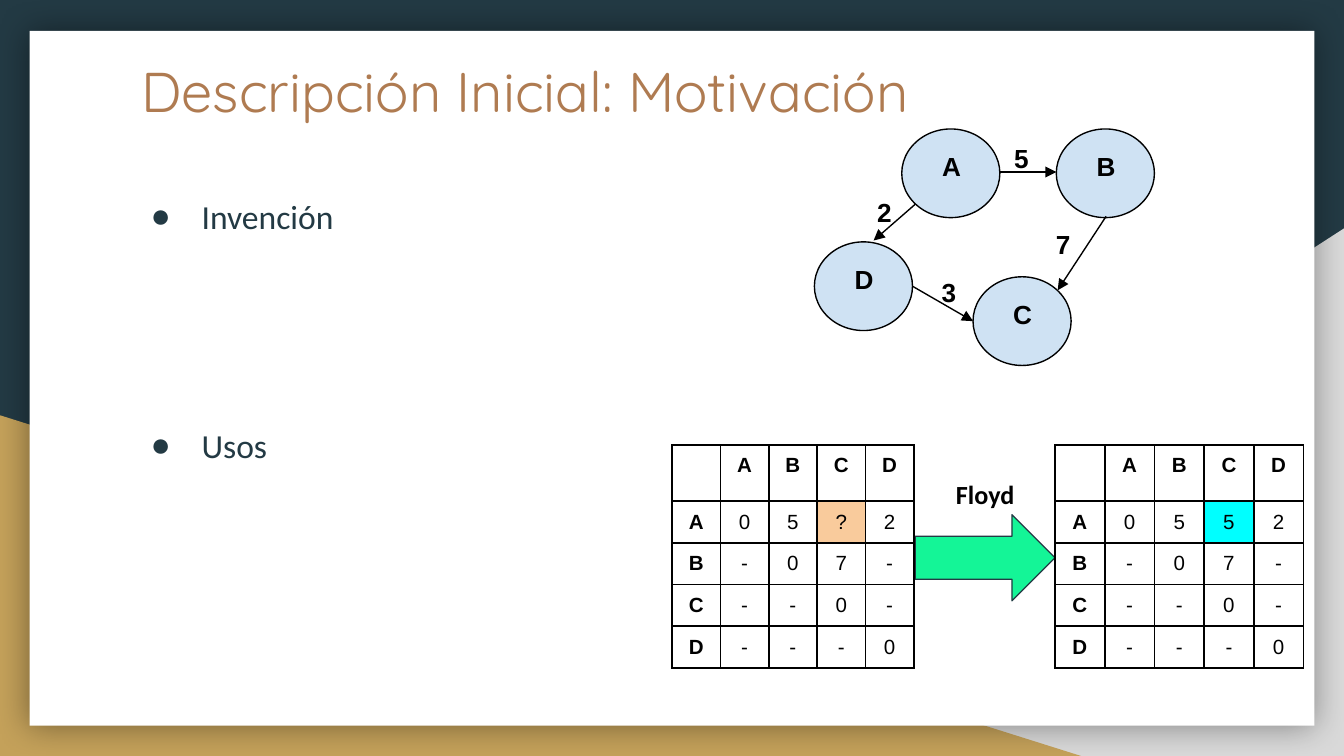
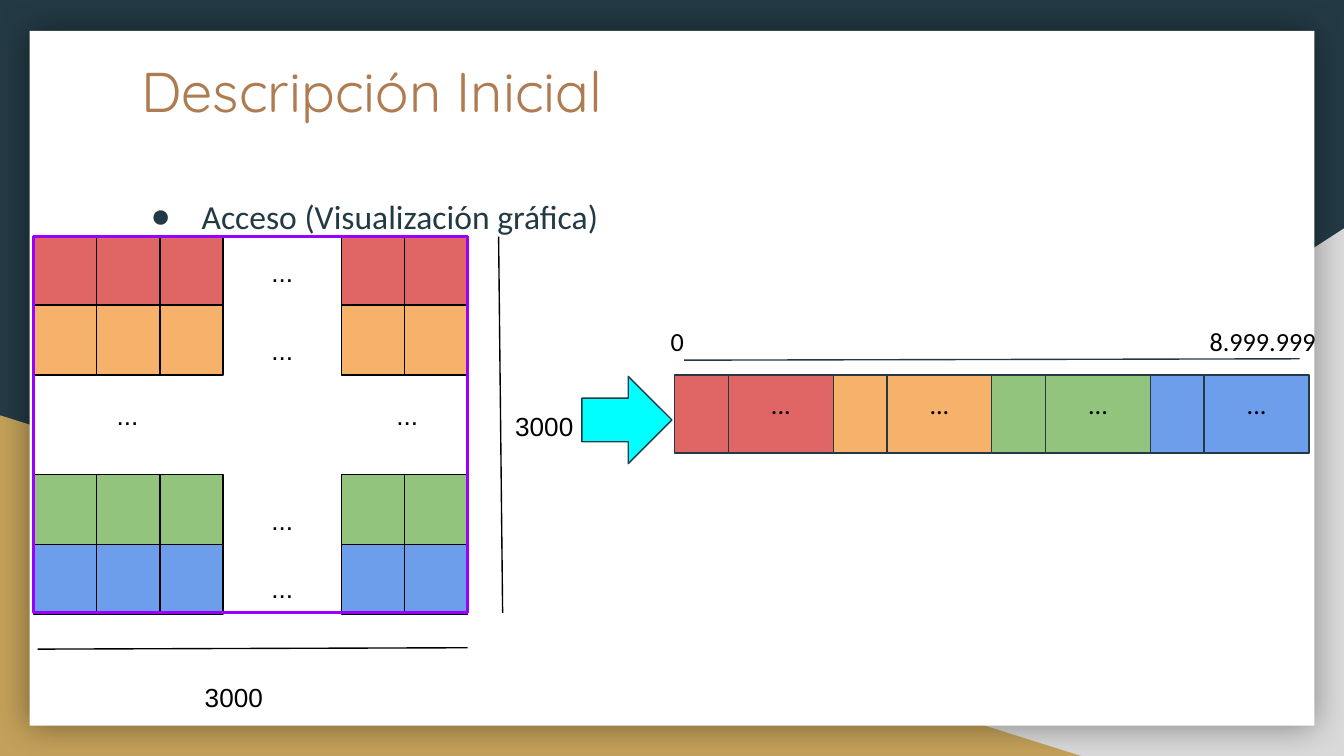
import pptx
import pptx.dml.color
import pptx.enum.shapes
import pptx.enum.text
import pptx.oxml
import pptx.oxml.ns
import pptx.util
from lxml import etree
from pptx.util import Inches

COLORS = {
    "navy": "233A44", "gray": "D9D9D9", "gold": "C4A15A", "white": "FFFFFF",
    "bronze": "AF7B51", "black": "000000", "node": "CFE2F3", "mint": "14F597",
    "peach": "F9CB9C", "cyan": "00FFFF", "purple": "9900FF", "red": "E06666",
    "orange": "F6B26B", "green": "93C47D", "blue": "6D9EEB",
}
SHAPE = pptx.enum.shapes.MSO_SHAPE
ALIGN = pptx.enum.text.PP_ALIGN
qn = pptx.oxml.ns.qn


def rgb(name):
    return pptx.dml.color.RGBColor.from_string(COLORS[name])


def fragment(xml):
    """Parse a piece of DrawingML whose root is in the a: namespace."""
    head, rest = xml.split(" ", 1)
    return pptx.oxml.parse_xml(f"{head} {pptx.oxml.ns.nsdecls('a')} {rest}")


def write(frame, text, size=14, font="Arial", color="black", bold=False,
          align=ALIGN.CENTER, inset=0.1):
    """Fill a text frame, one paragraph per line of text."""
    frame.word_wrap = True
    frame.auto_size = pptx.enum.text.MSO_AUTO_SIZE.NONE
    frame.vertical_anchor = pptx.enum.text.MSO_ANCHOR.TOP
    frame.margin_left = frame.margin_right = Inches(inset)
    frame.margin_top = frame.margin_bottom = Inches(inset)
    for index, line in enumerate(text.split("\n")):
        para = frame.add_paragraph() if index else frame.paragraphs[0]
        para.alignment = align
        span = para.add_run()
        span.text = line
        span.font.size = pptx.util.Pt(size)
        span.font.name = font
        span.font.bold = bold
        span.font.color.rgb = rgb(color)


class Slides:
    def __init__(self):
        self.deck = pptx.Presentation()
        self.deck.slide_width = Inches(10)
        self.deck.slide_height = Inches(5.625)
        self.layout = self.deck.slide_layouts[1]
        self.page = None

    def start(self, title):
        self.page = self.deck.slides.add_slide(self.layout)
        holder = self.page.shapes.title
        self.place(holder, 0.95, 0.32, 8.21, 0.64)
        write(holder.text_frame, title, size=30, font="Quicksand",
              color="bronze", align=ALIGN.LEFT)

    def dress_layout(self):
        """Draw the shared background and move it into the layout."""
        fill = self.layout.background.fill
        fill.solid()
        fill.fore_color.rgb = rgb("navy")
        gray = self.shape(SHAPE.RIGHT_TRIANGLE, 3.92, 1.7, 6.08, 3.93, "gray", None)
        gray.element.spPr.get_or_add_xfrm().set("flipH", "1")
        gold = self.shape(SHAPE.RIGHT_TRIANGLE, 0, 3.09, 8.06, 2.54, "gold", None)
        panel = self.shape(SHAPE.RECTANGLE, 0.22, 0.23, 9.56, 5.17, "white", None)
        panel.element.spPr.find(qn("a:effectLst")).append(fragment(
            f'<a:outerShdw blurRad="{pptx.util.Pt(18)}" dist="0" dir="0">'
            f'<a:srgbClr val="{COLORS["black"]}"><a:alpha val="40000"/>'
            '</a:srgbClr></a:outerShdw>'))
        for position, part in enumerate((gray, gold, panel), start=2):
            self.layout.shapes.element.insert(position, part.element)

    def place(self, item, left, top, width, height):
        item.left, item.top = Inches(left), Inches(top)
        item.width, item.height = Inches(width), Inches(height)

    def bullets(self, lines, width, height, gap=0):
        holder = self.page.placeholders[1]
        self.place(holder, 0.9, 1.31, width, height)
        write(holder.text_frame, "\n".join(lines), size=18, font="Calibri",
              color="navy", align=ALIGN.LEFT)
        for index, para in enumerate(holder.text_frame.paragraphs):
            para.line_spacing = 1.15
            para.space_before = pptx.util.Pt(gap if index else 0)
            props = para._p.get_or_add_pPr()
            props.set("marL", str(Inches(0.5)))
            props.set("indent", str(Inches(-0.38)))
            color = etree.SubElement(props, qn("a:buClr"))
            etree.SubElement(color, qn("a:srgbClr"), val=COLORS["navy"])
            etree.SubElement(props, qn("a:buChar"), char="●")

    def shape(self, kind, left, top, width, height, fill, line="black", weight=0.75):
        item = self.page.shapes.add_shape(
            kind, Inches(left), Inches(top), Inches(width), Inches(height))
        item.shadow.inherit = False
        if fill:
            item.fill.solid()
            item.fill.fore_color.rgb = rgb(fill)
        else:
            item.fill.background()
        if line:
            item.line.color.rgb = rgb(line)
            item.line.width = pptx.util.Pt(weight)
        else:
            item.line.fill.background()
        return item

    def label(self, text, left, top, width, height, **style):
        box = self.page.shapes.add_textbox(
            Inches(left), Inches(top), Inches(width), Inches(height))
        write(box.text_frame, text, **style)

    def line(self, begin, end, color="black", arrow=False):
        item = self.page.shapes.add_connector(
            pptx.enum.shapes.MSO_CONNECTOR.STRAIGHT,
            *(Inches(value) for value in begin + end))
        item.line.color.rgb = rgb(color)
        item.line.width = pptx.util.Pt(0.75)
        if arrow:
            item.line._get_or_add_ln().append(fragment('<a:tailEnd type="triangle"/>'))
        etree.SubElement(item.element.spPr, qn("a:effectLst"))

    def matrix(self, left, top, column, rows, marked, mark):
        """Distance table; the marked (row, column) cell gets a fill."""
        heights = [0.41] + [0.31] * (len(rows) - 1)
        count = len(rows[0])
        table = self.page.shapes.add_table(
            len(rows), count, Inches(left), Inches(top),
            Inches(column * count), Inches(sum(heights))).table
        table.first_row = table.horz_banding = False
        for item in table.columns:
            item.width = Inches(column)
        for r, row in enumerate(rows):
            table.rows[r].height = Inches(heights[r])
            for c, text in enumerate(row):
                cell = table.cell(r, c)
                write(cell.text_frame, text, size=11, bold=r == 0 or c == 0)
                cell.margin_left = cell.margin_right = Inches(0.07)
                cell.margin_top = cell.margin_bottom = Inches(0.07)
                for side in "LRTB":
                    cell._tc.get_or_add_tcPr().append(fragment(
                        f'<a:ln{side} w="{pptx.util.Pt(1)}"><a:solidFill>'
                        f'<a:srgbClr val="{COLORS["black"]}"/></a:solidFill></a:ln{side}>'))
                if (r, c) == marked:
                    cell.fill.solid()
                    cell.fill.fore_color.rgb = rgb(mark)
                else:
                    cell.fill.background()


def motivation(slides):
    slides.bullets(["Invención", "Usos"], 4.1, 3.63, gap=98)

    # Weighted graph
    nodes = {"A": (6.71, 0.96), "B": (7.86, 0.96), "C": (7.24, 2.06), "D": (6.06, 1.8)}
    for name, (left, top) in nodes.items():
        slides.shape(SHAPE.OVAL, left, top, 0.73, 0.66, "node")
        slides.label(name, left + 0.09, top + 0.06, 0.56, 0.55, bold=True)
    edges = [
        ("5", (7.44, 1.28), (7.86, 1.28), (7.39, 0.96)),
        ("7", (8.23, 1.61), (7.87, 2.16), (7.7, 1.6)),
        ("2", (6.81, 1.52), (6.5, 1.79), (6.37, 1.36)),
        ("3", (6.79, 2.13), (7.24, 2.39), (6.85, 1.96)),
    ]
    for weight, begin, end, corner in edges:
        slides.line(begin, end, arrow=True)
        slides.label(weight, *corner, 0.42, 0.2, bold=True)

    # Distances before and after Floyd
    arrow = slides.shape(SHAPE.DOWN_ARROW, 7.01, 3.63, 0.64, 1.04, "mint", "navy")
    arrow.rotation = 270
    for left, column, found, mark in [(5, 0.36, "?", "peach"), (7.85, 0.37, "5", "cyan")]:
        rows = [["", *"ABCD"], ["A", "0", "5", found, "2"],
                [*"B-07-"], [*"C--0-"], [*"D---0"]]
        slides.matrix(left, 3.31, column, rows, (1, 3), mark)
    slides.label("Floyd", 6.84, 3.46, 0.98, 0.38, font="Calibri", bold=True)


def access(slides):
    slides.bullets(["Acceso (Visualización gráfica)"], 8.21, 0.45)
    bands = ["red", "orange", "green", "blue"]

    # Dimensions of the square matrix
    slides.line((3.71, 1.76), (3.74, 4.56))
    slides.line((3.48, 4.82), (0.28, 4.83))
    for left, top in [(3.71, 2.95), (1.4, 4.97)]:
        slides.label("3000", left, top, 0.68, 0.42)

    # Square matrix, one colour per row
    for color, top in zip(bands, (1.76, 2.27, 3.53, 4.05)):
        for left in (0.25, 0.72, 1.19, 2.54, 3.01):
            slides.shape(SHAPE.RECTANGLE, left, top, 0.47, 0.52, color)
    slides.shape(SHAPE.RECTANGLE, 0.25, 1.76, 3.23, 2.8, None, "purple", 1.5)
    for left, top in [(1.76, 1.81), (1.76, 2.39), (0.61, 2.87),
                      (2.69, 2.87), (1.76, 3.65), (1.76, 4.16)]:
        slides.label("...", left, top, 0.68, 0.28)

    # Same rows laid end to end in one array
    slides.shape(SHAPE.RIGHT_ARROW, 4.33, 2.8, 0.67, 0.65, "cyan", "navy")
    for index, color in enumerate(bands):
        left = 5.02 + 1.18 * index
        slides.shape(SHAPE.RECTANGLE, left, 2.79, 0.4, 0.58, color, "navy")
        slides.shape(SHAPE.RECTANGLE, left + 0.4, 2.79, 0.78, 0.58, color, "navy")
        slides.label("...", left + 0.4, 2.79, 0.78, 0.58, font="Calibri")
    slides.line((5.09, 2.68), (9.67, 2.67), "navy")
    slides.label("0", 4.65, 2.32, 0.78, 0.42, font="Calibri")
    slides.label("8.999.999", 8.85, 2.32, 1.09, 0.42, font="Calibri")


def main():
    slides = Slides()
    slides.start("Descripción Inicial: Motivación")
    slides.dress_layout()
    motivation(slides)
    slides.start("Descripción Inicial")
    access(slides)
    slides.deck.save("out.pptx")


if __name__ == "__main__":
    main()
